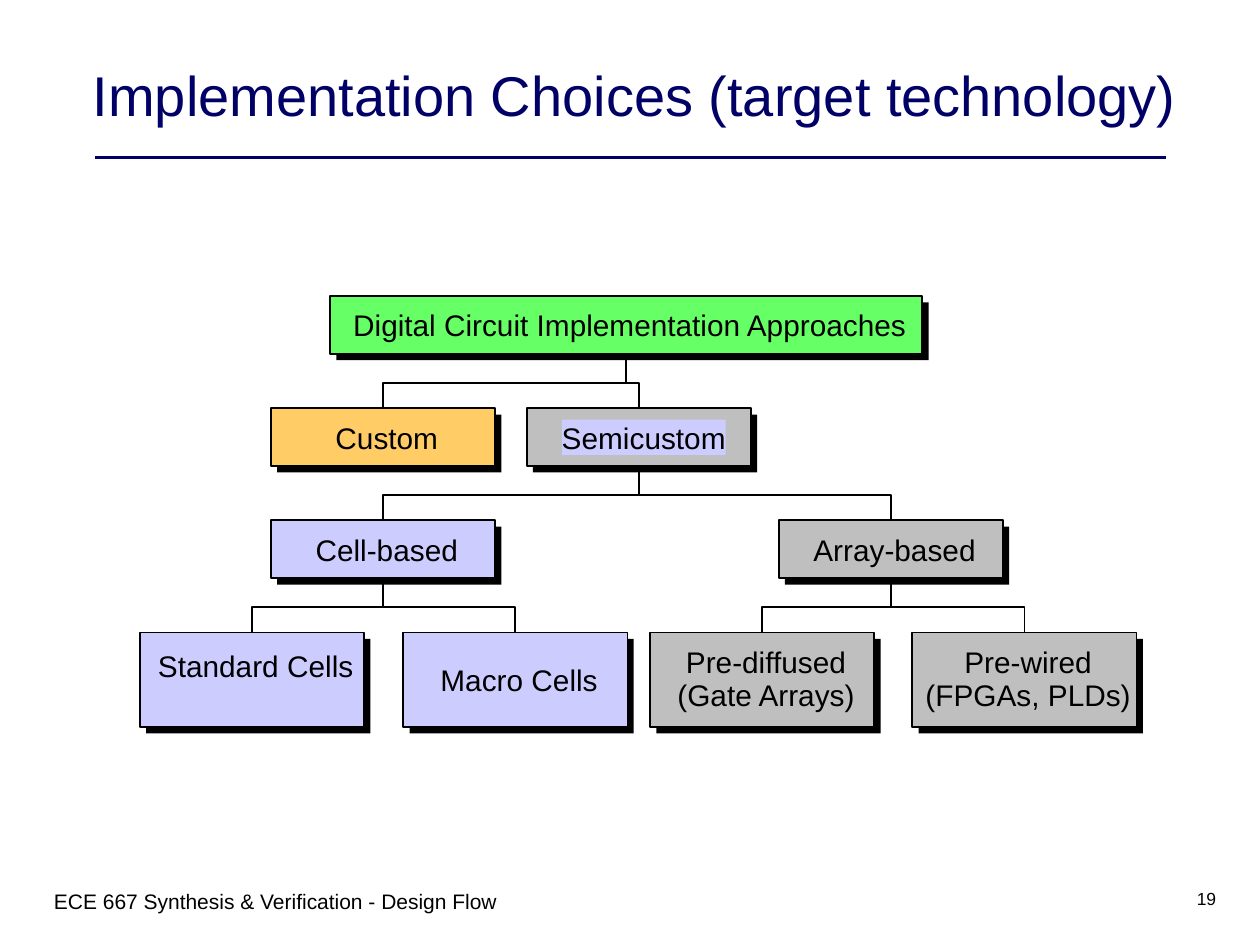
"""Build the slide on implementation choices as a tree of boxes."""
from lxml import etree
from pptx import Presentation
from pptx.dml.color import RGBColor
from pptx.enum.shapes import MSO_CONNECTOR, MSO_SHAPE
from pptx.enum.text import MSO_ANCHOR, MSO_AUTO_SIZE, PP_ALIGN
from pptx.oxml.ns import qn
from pptx.util import Inches, Pt

RECT = MSO_SHAPE.RECTANGLE
LINE = MSO_CONNECTOR.STRAIGHT
TOP, MID = MSO_ANCHOR.TOP, MSO_ANCHOR.MIDDLE
LEFT, MIDST, RIGHT = PP_ALIGN.LEFT, PP_ALIGN.CENTER, PP_ALIGN.RIGHT
FIXED = MSO_AUTO_SIZE.NONE

HUES = {"navy": "000066", "black": "000000", "green": "66FF66",
        "gold": "FFCC66", "lilac": "CCCCFF", "gray": "BFBFBF"}
TITLE = "Implementation Choices (target technology)"
NOTES = [
    ("ECE 667 Synthesis & Verification - Design Flow", 0.33, 4.5, 12, LEFT),
    ("19", 7.67, 2.08, 10, RIGHT),
]
# name: lines, row, left, width, hue, children
TREE = {
    "root": (["Digital Circuit Implementation Approaches"],
             0, 2.62, 4.7, "green", ["custom", "semi"]),
    "custom": (["Custom"], 1, 2.15, 1.78, "gold", []),
    "semi": (["Semicustom"], 1, 4.18, 1.78, "gray", ["cell", "array"]),
    "cell": (["Cell-based"], 2, 2.15, 1.78, "lilac", ["std", "macro"]),
    "array": (["Array-based"], 2, 6.18, 1.78, "gray", ["gate", "wired"]),
    "std": (["Standard Cells"], 3, 1.11, 1.78, "lilac", []),
    "macro": (["Macro Cells"], 3, 3.2, 1.78, "lilac", []),
    "gate": (["Pre-diffused", "(Gate Arrays)"], 3, 5.16, 1.78, "gray", []),
    "wired": (["Pre-wired", "(FPGAs, PLDs)"], 3, 7.24, 1.78, "gray", []),
}
FIRST, STEP, DROP, GAP = 2.35, 0.89, 0.05, 0.2
HIGH = [0.46, 0.46, 0.46, 0.75]
BOX = {"margin_left": Inches(0.06), "margin_right": 0, "margin_top": 0,
       "margin_bottom": 0, "word_wrap": True, "vertical_anchor": MID}


def rgb(hue):
    return RGBColor.from_string(HUES[hue])


def put(item, vals):
    for key, val in vals.items():
        setattr(item, key, val)


def write(shape, lines, size, frame, align=MIDST, hue="black", space=None):
    text = shape.text_frame
    text.text = "\n".join(lines)
    put(text, frame)
    for para in text.paragraphs:
        put(para, {"alignment": align, "line_spacing": space})
        put(para.font, {"size": Pt(size), "name": "Arial"})
        para.font.color.rgb = rgb(hue)


def block(slide, spot, hue, edge=False):
    shape = slide.shapes.add_shape(RECT, *map(Inches, spot))
    shape.shadow.inherit = False
    shape.fill.solid()
    shape.fill.fore_color.rgb = rgb(hue)
    if edge:
        ink(shape)
    else:
        shape.line.fill.background()
    return shape


def ink(shape, hue="black", width=1):
    shape.line.color.rgb = rgb(hue)
    shape.line.width = Pt(width)


def rule(slide, ends, hue="black", width=1):
    line = slide.shapes.add_connector(LINE, *ends)
    ink(line, hue, width)
    etree.SubElement(line.element.spPr, qn("a:effectLst"))
    return line


def node(slide, name):
    lines, row, left, width, hue, _ = TREE[name]
    top, high = FIRST + STEP * row, HIGH[row]
    block(slide, (left + DROP, top + DROP, width, high), "black")
    box = block(slide, (left, top, width, high), hue, True)
    face, frame = box, dict(BOX)
    if name == "semi":
        face = block(slide, (4.46, top + 0.09, 1.3, 0.28), "lilac")
        frame.update(margin_left=0, word_wrap=False)
    if name == "std":
        frame.update(margin_top=Inches(0.12), vertical_anchor=TOP)
    write(face, lines, 17, frame, space=0.95 if len(lines) > 1 else None)
    return box


def fork(slide, box, kids):
    mid = box.left + box.width // 2
    low = kids[0].top
    bar = low - Inches(GAP)
    stub = rule(slide, (mid, box.top + box.height, mid, bar))
    stub.begin_connect(box, 2)
    start, end = (kid.left + kid.width // 2 for kid in kids)
    form = slide.shapes.build_freeform(start, low)
    form.add_line_segments([(start, bar), (end, bar), (end, low)], close=False)
    shape = form.convert_to_shape()
    shape.shadow.inherit = False
    shape.fill.background()
    ink(shape)


def main():
    deck = Presentation()
    put(deck, {"slide_width": Inches(10), "slide_height": Inches(7.5)})
    slide = deck.slides.add_slide(deck.slide_layouts[5])
    head = slide.shapes.title
    put(head, {"left": Inches(0.58), "top": Inches(0.33),
               "width": Inches(8.92), "height": Inches(0.83)})
    write(head, [TITLE], 32, {"vertical_anchor": MID, "auto_size": FIXED},
          hue="navy")
    rule(slide, map(Inches, (0.75, 1.25, 9.25, 1.25)), "navy", 2.25)
    for text, left, width, size, align in NOTES:
        note = slide.shapes.add_textbox(*map(Inches, (left, 7, width, 0.5)))
        write(note, [text], size, {"word_wrap": True}, align)
    boxes = {name: node(slide, name) for name in TREE}
    for name, box in boxes.items():
        kids = [boxes[kid] for kid in TREE[name][-1]]
        if kids:
            fork(slide, box, kids)
    deck.save("out.pptx")


if __name__ == "__main__":
    main()
